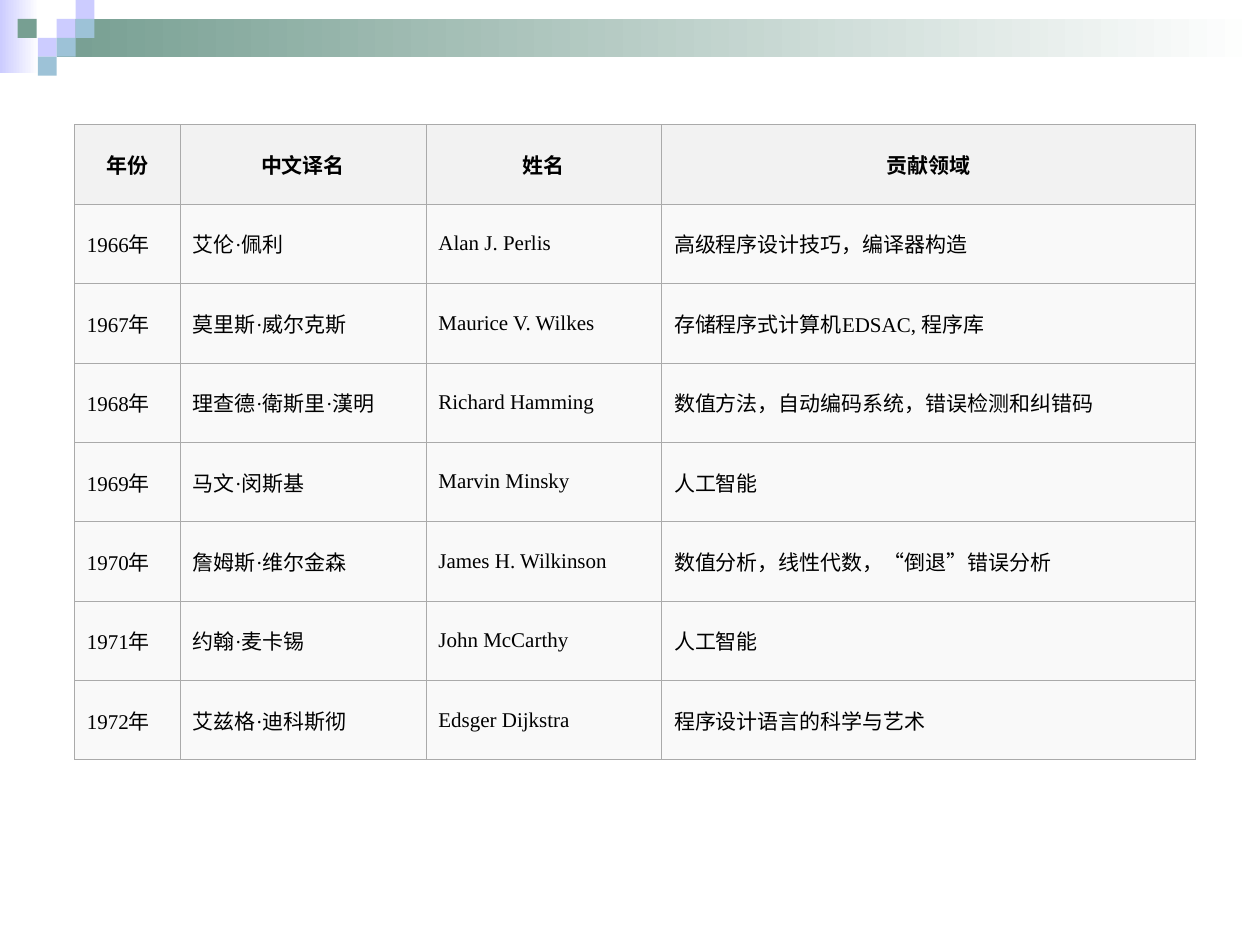
from lxml.etree import SubElement as add_element
from pptx import Presentation
from pptx.dml.color import RGBColor
from pptx.enum.shapes import MSO_SHAPE as Shape
from pptx.enum.text import MSO_ANCHOR as Anchor, PP_ALIGN as Align
from pptx.oxml.ns import qn
from pptx.util import Inches, Pt

FONT = "Times New Roman"
LILAC, GREEN, BLUE = "CCCCFF", "779F92", "9DC2D7"
HEADER_FILL, BODY_FILL, BORDER = "F2F2F2", "F9F9F9", "AAAAAA"
TILE = 0.15
TILES = [
    (0.45, 0.15, LILAC),
    (0.6, 0, LILAC),
    (0.6, 0.15, BLUE),
    (0.3, 0.3, LILAC),
    (0.14, 0.15, GREEN),
    (0.45, 0.3, BLUE),
    (0.3, 0.45, BLUE),
]
COLUMN_WIDTHS = [0.84, 1.95, 1.87, 4.24]
ROW_HEIGHT = 0.63
AWARDS = [
    ("年份", "中文译名", "姓名", "贡献领域"),
    ("1966年", "艾伦·佩利", "Alan J. Perlis", "高级程序设计技巧，编译器构造"),
    ("1967年", "莫里斯·威尔克斯", "Maurice V. Wilkes", "存储程序式计算机EDSAC, 程序库"),
    ("1968年", "理查德·衛斯里·漢明", "Richard Hamming", "数值方法，自动编码系统，错误检测和纠错码"),
    ("1969年", "马文·闵斯基", "Marvin Minsky", "人工智能"),
    ("1970年", "詹姆斯·维尔金森", "James H. Wilkinson", "数值分析，线性代数，“倒退”错误分析"),
    ("1971年", "约翰·麦卡锡", "John McCarthy", "人工智能"),
    ("1972年", "艾兹格·迪科斯彻", "Edsger Dijkstra", "程序设计语言的科学与艺术"),
]


def color(value):
    return RGBColor.from_string(value)


def add_block(page, left, top, width, height):
    block = page.shapes.add_shape(
        Shape.RECTANGLE, Inches(left), Inches(top), Inches(width), Inches(height)
    )
    block.shadow.inherit = False
    block.line.fill.background()
    return block


def add_tile(page, left, top, fill):
    tile = add_block(page, left, top, TILE, TILE)
    tile.fill.solid()
    tile.fill.fore_color.rgb = color(fill)


def add_fading_bar(page, left, top, width, height, fill):
    bar = add_block(page, left, top, width, height)
    bar.fill.gradient()
    bar.fill.gradient_angle = 180
    for stop, position, value in zip(bar.fill.gradient_stops, (0, 1), ("FFFFFF", fill)):
        stop.position = position
        stop.color.rgb = color(value)


def write_text(frame, text, size=12, bold=False, align=Align.LEFT):
    para = frame.paragraphs[0]
    para.alignment = align
    span = para.add_run()
    span.text = text
    span.font.name = FONT
    span.font.size = Pt(size)
    span.font.bold = bold
    span.font.color.rgb = color("000000")


def style_cell(cell, fill):
    cell.vertical_anchor = Anchor.MIDDLE
    properties = cell._tc.get_or_add_tcPr()
    for side in ("a:lnL", "a:lnR", "a:lnT", "a:lnB"):
        line = add_element(properties, qn(side), w=str(Pt(0.45)))
        add_element(add_element(line, qn("a:solidFill")), qn("a:srgbClr"), val=BORDER)
    cell.fill.solid()
    cell.fill.fore_color.rgb = color(fill)


def add_award_table(page, left, top):
    table = page.shapes.add_table(
        len(AWARDS), len(COLUMN_WIDTHS), Inches(left), Inches(top),
        Inches(sum(COLUMN_WIDTHS)), Inches(ROW_HEIGHT * len(AWARDS)),
    ).table
    table.horz_banding = False
    for column, width in zip(table.columns, COLUMN_WIDTHS):
        column.width = Inches(width)
    for index, (row, texts) in enumerate(zip(table.rows, AWARDS)):
        row.height = Inches(ROW_HEIGHT)
        header = index == 0
        for cell, text in zip(row.cells, texts):
            style_cell(cell, HEADER_FILL if header else BODY_FILL)
            write_text(cell.text_frame, text, bold=header,
                       align=Align.CENTER if header else Align.LEFT)


def main():
    deck = Presentation()
    deck.slide_width, deck.slide_height = Inches(10), Inches(7.5)
    page = deck.slides.add_slide(deck.slide_layouts[6])
    add_fading_bar(page, 0, 0, 0.31, 0.58, LILAC)
    add_fading_bar(page, 0.45, 0.15, 9.55, 0.3, GREEN)
    for left, top, fill in TILES:
        add_tile(page, left, top, fill)
    add_award_table(page, 0.59, 0.99)
    deck.save("out.pptx")


if __name__ == "__main__":
    main()
